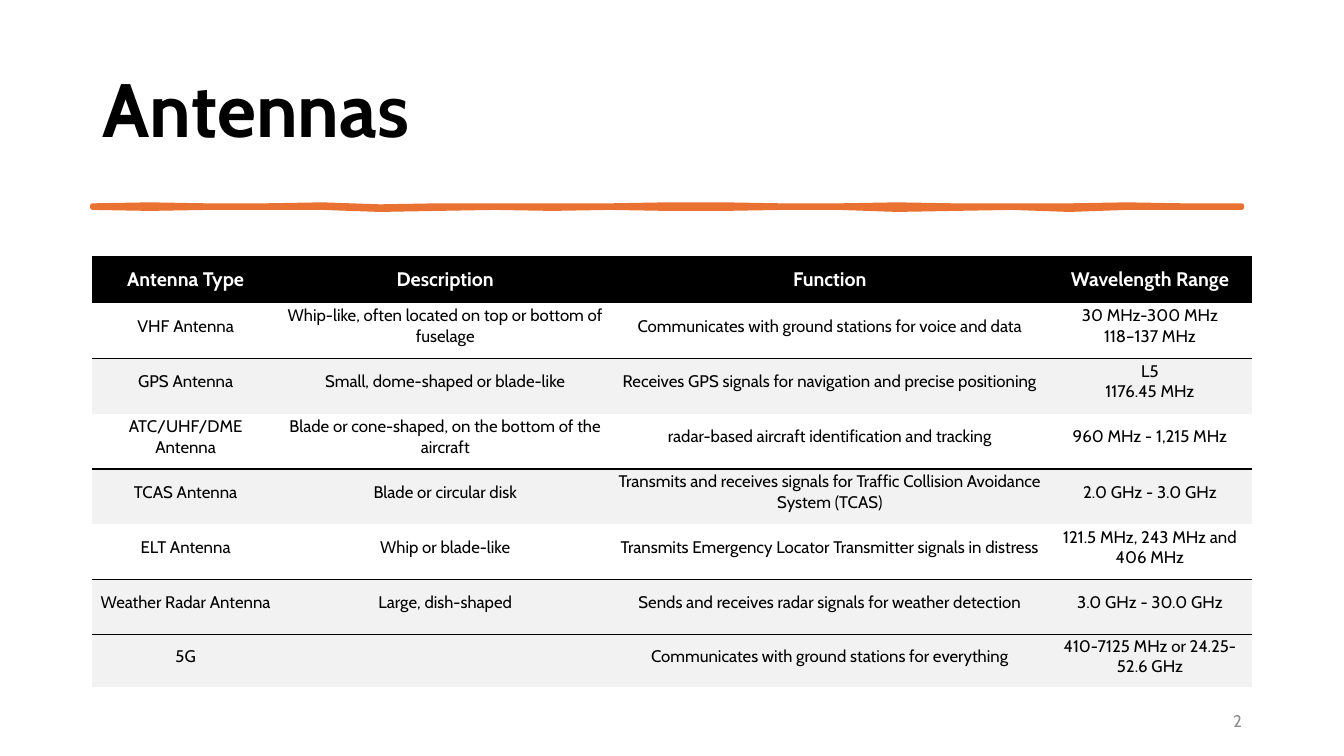
from lxml import etree
from pptx import Presentation
from pptx import util as u
from pptx.dml.color import RGBColor
from pptx.enum import text
from pptx.oxml import ns

FONT = "Cabin"
BLACK, WHITE, ORANGE, BAND, GREY = "000000", "FFFFFF", "E97132", "F2F2F2", "8C8C8C"
NO_STYLE = "{2D5ABB26-0587-4C30-8999-92F81FD0307C}"
LEFT, WIDTH = 66 / 72, 11.5

COLUMN_WIDTHS = [1.83, 3.32, 4.31, 2.04]
ROW_POINTS = [33.6] + [39.5] * 6 + [36]
ANTENNAS = [
    ["Antenna Type", "Description", "Function", "Wavelength Range"],
    ["VHF Antenna", "Whip-like, often located on top or bottom of fuselage",
     "Communicates with ground stations for voice and data",
     "30 MHz-300 MHz\n118–137 MHz"],
    ["GPS Antenna", "Small, dome-shaped or blade-like",
     "Receives GPS signals for navigation and precise positioning",
     "L5\n1176.45 MHz"],
    ["ATC/UHF/DME Antenna", "Blade or cone-shaped, on the bottom of the aircraft",
     "radar-based aircraft identification and tracking", "960 MHz - 1,215 MHz"],
    ["TCAS Antenna", "Blade or circular disk",
     "Transmits and receives signals for Traffic Collision Avoidance System (TCAS)",
     "2.0 GHz - 3.0 GHz"],
    ["ELT Antenna", "Whip or blade-like",
     "Transmits Emergency Locator Transmitter signals in distress",
     "121.5 MHz, 243 MHz and 406 MHz"],
    ["Weather Radar Antenna", "Large, dish-shaped",
     "Sends and receives radar signals for weather detection", "3.0 GHz - 30.0 GHz"],
    ["5G", "", "Communicates with ground stations for everything",
     "410-7125 MHz or 24.25-52.6 GHz"],
]
BANDED_ROWS = {2, 4, 6, 7}

# Brush stroke edges at equal steps, in hundredths of an inch from its top
STROKE_TOP = [0, -1, 0, 0, -1, 1, 0, 0, 0, 0, -1, -1, 0, 0, -1, 0, 0, 0, -1, 0, 0]
STROKE_BOTTOM = [2, 3, 2, 2, 2, 4, 3, 2, 3, 2, 3, 3, 2, 2, 4, 3, 2, 4, 2, 2, 2]


def color(hex_code):
    return RGBColor.from_string(hex_code)


def add_run(paragraph, words, size, hex_code, bold=False):
    run = paragraph.add_run()
    run.text = words
    run.font.name, run.font.size, run.font.bold = FONT, u.Pt(size), bold
    run.font.color.rgb = color(hex_code)


def add_title(slide, box):
    title = slide.shapes.title
    title.left, title.top, title.width, title.height = map(u.Inches, box)
    frame = title.text_frame
    frame.vertical_anchor = text.MSO_ANCHOR.MIDDLE
    heading = frame.paragraphs[0]
    heading.alignment = text.PP_ALIGN.LEFT
    heading.line_spacing, heading.space_after = 0.9, u.Pt(6)
    add_run(heading, "Antennas", 54, BLACK, bold=True)


def stroke_edge(offsets, box):
    left, top, width = box
    step = width / (len(offsets) - 1)
    return [(u.Inches(left + i * step), u.Inches(top + offset / 100))
            for i, offset in enumerate(offsets)]


def add_brush_stroke(slide, box):
    outline = stroke_edge(STROKE_TOP, box) + stroke_edge(STROKE_BOTTOM, box)[::-1]
    builder = slide.shapes.build_freeform(*outline[0])
    builder.add_line_segments(outline[1:], close=True)
    stroke = builder.convert_to_shape()
    stroke.shadow.inherit = False
    stroke.fill.solid()
    stroke.fill.fore_color.rgb = color(ORANGE)
    stroke.line.color.rgb = color(ORANGE)
    stroke.line.width = u.Pt(3.25)
    # Rounded joins soften the stroke's ends
    etree.SubElement(stroke.line._get_or_add_ln(), ns.qn("a:round"))


def set_borders(cell, ruled_sides):
    """Rule the named sides in black and clear the others."""
    properties = cell._tc.get_or_add_tcPr()
    for i, side in enumerate("LRTB"):
        border = etree.Element(ns.qn(f"a:ln{side}"), w=str(u.Pt(1)))
        if side in ruled_sides:
            fill = etree.SubElement(border, ns.qn("a:solidFill"))
            etree.SubElement(fill, ns.qn("a:srgbClr"), val=BLACK)
        else:
            etree.SubElement(border, ns.qn("a:noFill"))
        properties.insert(i, border)


def format_cell(cell, row, words):
    header = row == 0
    cell.vertical_anchor = text.MSO_ANCHOR.MIDDLE
    cell.margin_left, cell.margin_right = u.Inches(0.07), u.Inches(0.05)
    cell.margin_top, cell.margin_bottom = u.Inches(0.1 if header else 0.01), u.Inches(0.1)
    if header or row in BANDED_ROWS:
        cell.fill.solid()
        cell.fill.fore_color.rgb = color(BLACK if header else BAND)
    else:
        cell.fill.background()
    # A rule runs above each banded row
    set_borders(cell, ("T" if row in BANDED_ROWS else "")
                + ("B" if row + 1 in BANDED_ROWS else ""))

    frame = cell.text_frame
    for i, line in enumerate(words.split("\n")):
        paragraph = frame.add_paragraph() if i else frame.paragraphs[0]
        paragraph.alignment = text.PP_ALIGN.CENTER
        if line:
            add_run(paragraph, line, 14 if header else 12, WHITE if header else BLACK, header)
        else:
            paragraph.font.size = u.Pt(12)


def add_antenna_table(slide, box):
    frame = slide.shapes.add_table(len(ANTENNAS), len(COLUMN_WIDTHS), *map(u.Inches, box))
    table = frame.table
    table.horz_banding = False
    table._tbl.tblPr.find(ns.qn("a:tableStyleId")).text = NO_STYLE
    for column, width in zip(table.columns, COLUMN_WIDTHS):
        column.width = u.Inches(width)
    for row, (height, entries) in enumerate(zip(ROW_POINTS, ANTENNAS)):
        table.rows[row].height = u.Pt(height)
        for column, words in enumerate(entries):
            format_cell(table.cell(row, column), row, words)


def add_page_number(slide, box):
    frame = slide.shapes.add_textbox(*map(u.Inches, box)).text_frame
    frame.word_wrap = True
    frame.vertical_anchor = text.MSO_ANCHOR.MIDDLE
    number = frame.paragraphs[0]
    number.alignment = text.PP_ALIGN.RIGHT
    number.space_after = u.Pt(6)
    add_run(number, "2", 12, GREY)


def main():
    deck = Presentation()
    deck.slide_width, deck.slide_height = u.Inches(13.33), u.Inches(7.5)
    slide = deck.slides.add_slide(deck.slide_layouts[5])
    add_title(slide, (LEFT, 0.4, WIDTH, 1.45))
    add_brush_stroke(slide, (LEFT, 2.04, 11.4))
    add_antenna_table(slide, (LEFT, 2.54, WIDTH, sum(ROW_POINTS) / 72))
    add_page_number(slide, (LEFT + WIDTH - 3, 6.95, 3, 0.4))
    deck.save("out.pptx")


if __name__ == "__main__":
    main()
